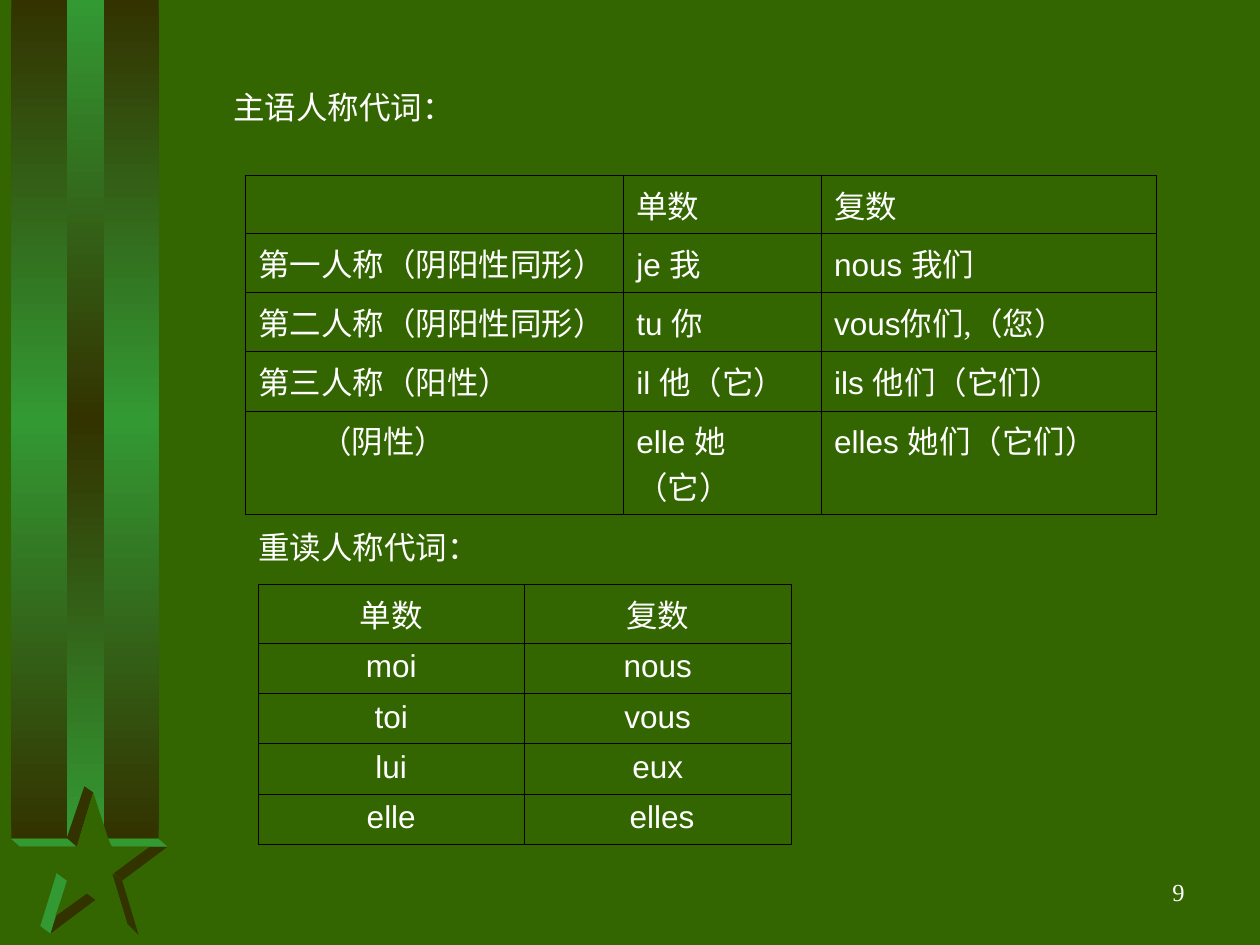
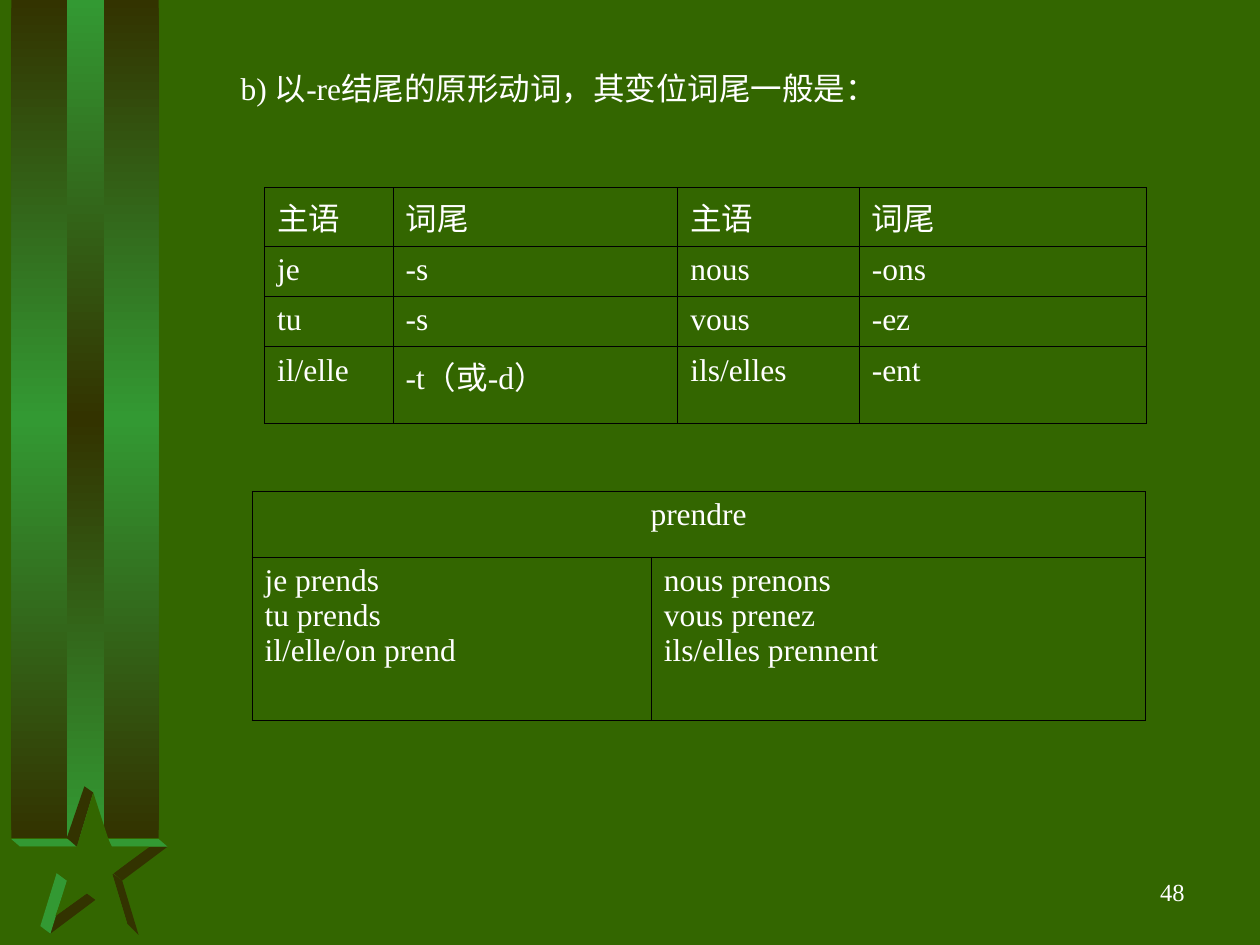
from copy import deepcopy
from dataclasses import dataclass
from itertools import takewhile

from lxml import etree
from pptx import Presentation
from pptx import util as u
from pptx.dml.color import RGBColor
from pptx.enum import shapes, text
from pptx.oxml.ns import qn

PX = 9144
SERIF, SANS = "Times New Roman", "Arial"
COLORS = {"ground": "336600", "dark": "333300", "bright": "339933",
          "ink": "FFFFFF", "grid": "000000"}
LEFT, CENTER, RIGHT = text.PP_ALIGN.LEFT, text.PP_ALIGN.CENTER, text.PP_ALIGN.RIGHT


@dataclass(frozen=True)
class Box:
    x: int
    y: int
    w: int
    h: int

    def emu(self) -> list[int]:
        return [px(n) for n in (self.x, self.y, self.w, self.h)]


@dataclass(frozen=True)
class Band:
    box: Box
    edge: str
    middle: str


@dataclass(frozen=True)
class Facet:
    color: str
    points: tuple


@dataclass(frozen=True)
class Grid:
    x: int
    y: int
    cols: list
    heights: list
    rows: list
    latin: str = SERIF
    align: int = LEFT
    indents: tuple = ()
    title_row: bool = False


BANDS = [
    Band(Box(9, 0, 117, 665), "dark", "bright"),
    Band(Box(53, 0, 30, 665), "bright", "dark"),
]

STAR = [
    Facet("dark", ((90, 693), (97, 699), (133, 672), (119, 672))),
    Facet("bright", ((9, 666), (16, 672), (62, 672), (54, 666))),
    Facet("dark", ((61, 672), (74, 629), (67, 624), (53, 665))),
    Facet("bright", ((89, 672), (86, 666), (126, 666), (133, 672))),
    Facet("dark", ((33, 735), (40, 741), (76, 714), (69, 709))),
    Facet("dark", ((101, 733), (110, 742), (97, 699), (89, 693))),
    Facet("bright", ((40, 741), (53, 699), (45, 693), (32, 735))),
    Facet("ground", ((74, 629), (61, 672), (16, 672), (54, 699), (44, 727),
                     (69, 709), (101, 733), (89, 694), (118, 672), (88, 672))),
]

SUBJECT_PRONOUNS = Grid(
    195, 139, [300, 157, 266], [44, 47, 47, 47, 70],
    [["", "单数", "复数"],
     ["第一人称（阴阳性同形）", "je 我", "nous 我们"],
     ["第二人称（阴阳性同形）", "tu 你", "vous你们,（您）"],
     ["第三人称（阳性）", "il 他（它）", "ils 他们（它们）"],
     ["（阴性）", "elle 她（它）", "elles 她们（它们）"]],
    latin=SANS, indents=((4, 0, 49),))

STRESSED_PRONOUNS = Grid(
    205, 464, [211, 212], [40] * 5,
    [["单数", "复数"], ["moi", "nous"], ["toi", "vous"], ["lui", "eux"],
     ["elle", "elles"]],
    latin=SANS, align=CENTER, indents=((4, 1, 7),))

RE_ENDINGS = Grid(
    210, 149, [102, 226, 144, 228], [40, 40, 40, 61],
    [["主语", "词尾", "主语", "词尾"],
     ["je", "-s", "nous", "-ons"],
     ["tu", "-s", "vous", "-ez"],
     ["il/elle", "-t（或-d）", "ils/elles", "-ent"]])

PRENDRE = Grid(
    200, 390, [317, 392], [52, 130],
    [["prendre", ""],
     ["je prends\ntu prends\nil/elle/on prend",
      "nous prenons\nvous prenez\nils/elles prennent"]],
    title_row=True)


def px(n: int) -> int:
    return u.Emu(n * PX)


def rgb(name: str) -> RGBColor:
    return RGBColor.from_string(COLORS[name])


def write(tf, txt: str, *, size: int = 18, latin: str = SERIF,
          align: int = LEFT, indent: int = 0) -> None:
    for i, line in enumerate(txt.split("\n")):
        p = tf.paragraphs[0] if i == 0 else tf.add_paragraph()
        p.alignment = align
        if indent:
            p._p.get_or_add_pPr().set("marL", str(px(indent)))
        head = "".join(takewhile(str.isascii, line)) if latin != SERIF else ""
        for part, name in ((head, latin), (line[len(head):], SERIF)):
            if part:
                r = p.add_run()
                r.text = part
                r.font.size, r.font.name = u.Pt(size), name
                r.font.color.rgb = rgb("ink")


def fill_frame(sp, txt: str, **fmt) -> None:
    tf = sp.text_frame
    tf.word_wrap = True
    tf.auto_size = text.MSO_AUTO_SIZE.NONE
    tf.vertical_anchor = text.MSO_ANCHOR.MIDDLE
    write(tf, txt, **fmt)


def add_text(s, box: Box, txt: str, **fmt) -> None:
    fill_frame(s.shapes.add_textbox(*box.emu()), txt, **fmt)


def add_band(s, band: Band) -> None:
    sp = s.shapes.add_shape(shapes.MSO_SHAPE.RECTANGLE, *band.box.emu())
    sp.shadow.inherit = False
    sp.line.fill.background()
    sp.fill.gradient()
    sp.fill.gradient_angle = 90
    first = sp._element.spPr.find(".//" + qn("a:gs"))
    first.addnext(deepcopy(first))
    names = (band.edge, band.middle, band.edge)
    for i, (stop, name) in enumerate(zip(sp.fill.gradient_stops, names)):
        stop.position = i / 2
        stop.color.rgb = rgb(name)


def add_facet(s, facet: Facet) -> None:
    start, *others = facet.points
    outline = s.shapes.build_freeform(*start, scale=PX)
    outline.add_line_segments(others, close=True)
    sp = outline.convert_to_shape()
    sp.shadow.inherit = False
    sp.line.fill.background()
    sp.fill.solid()
    sp.fill.fore_color.rgb = rgb(facet.color)


def add_borders(cell) -> None:
    tcPr = cell._tc.get_or_add_tcPr()
    for i, side in enumerate(("lnL", "lnR", "lnT", "lnB")):
        ln = etree.Element(qn(f"a:{side}"), w=str(u.Pt(0.45)))
        solid = etree.SubElement(ln, qn("a:solidFill"))
        etree.SubElement(solid, qn("a:srgbClr"), val=COLORS["grid"])
        tcPr.insert(i, ln)


def add_grid(s, grid: Grid) -> None:
    box = Box(grid.x, grid.y, sum(grid.cols), sum(grid.heights))
    tbl = s.shapes.add_table(len(grid.rows), len(grid.cols), *box.emu()).table
    tbl.first_row = tbl.horz_banding = False
    for col, width in zip(tbl.columns, grid.cols):
        col.width = px(width)
    for row, height in zip(tbl.rows, grid.heights):
        row.height = px(height)
    indents = {(i, j): n for i, j, n in grid.indents}
    for i, row in enumerate(grid.rows):
        for j, txt in enumerate(row):
            cell = tbl.cell(i, j)
            cell.fill.background()
            add_borders(cell)
            align = CENTER if grid.title_row and i == 0 else grid.align
            write(cell.text_frame, txt, latin=grid.latin, align=align,
                  indent=indents.get((i, j), 0))
    if grid.title_row:
        tbl.cell(0, 0).merge(tbl.cell(0, len(grid.cols) - 1))


def add_slide(prs, title: str, box: Box, number: int, grids: list[Grid]):
    s = prs.slides.add_slide(prs.slide_layouts[5])
    for band in BANDS:
        add_band(s, band)
    for facet in STAR:
        add_facet(s, facet)
    sp = s.shapes.title
    sp.left, sp.top, sp.width, sp.height = box.emu()
    fill_frame(sp, title)
    for grid in grids:
        add_grid(s, grid)
    add_text(s, Box(742, 683, 208, 50), str(number), size=14, align=RIGHT)
    return s


def main() -> None:
    prs = Presentation()
    prs.slide_width, prs.slide_height = px(1000), px(750)
    ground = prs.slide_master.background.fill
    ground.solid()
    ground.fore_color.rgb = rgb("ground")

    s = add_slide(prs, "主语人称代词：", Box(175, 65, 418, 40), 9,
                  [SUBJECT_PRONOUNS, STRESSED_PRONOUNS])
    add_text(s, Box(195, 414, 335, 40), "重读人称代词：")

    add_slide(prs, "b) 以-re结尾的原形动词，其变位词尾一般是：",
              Box(181, 50, 543, 40), 48, [RE_ENDINGS, PRENDRE])
    prs.save("out.pptx")


if __name__ == "__main__":
    main()
